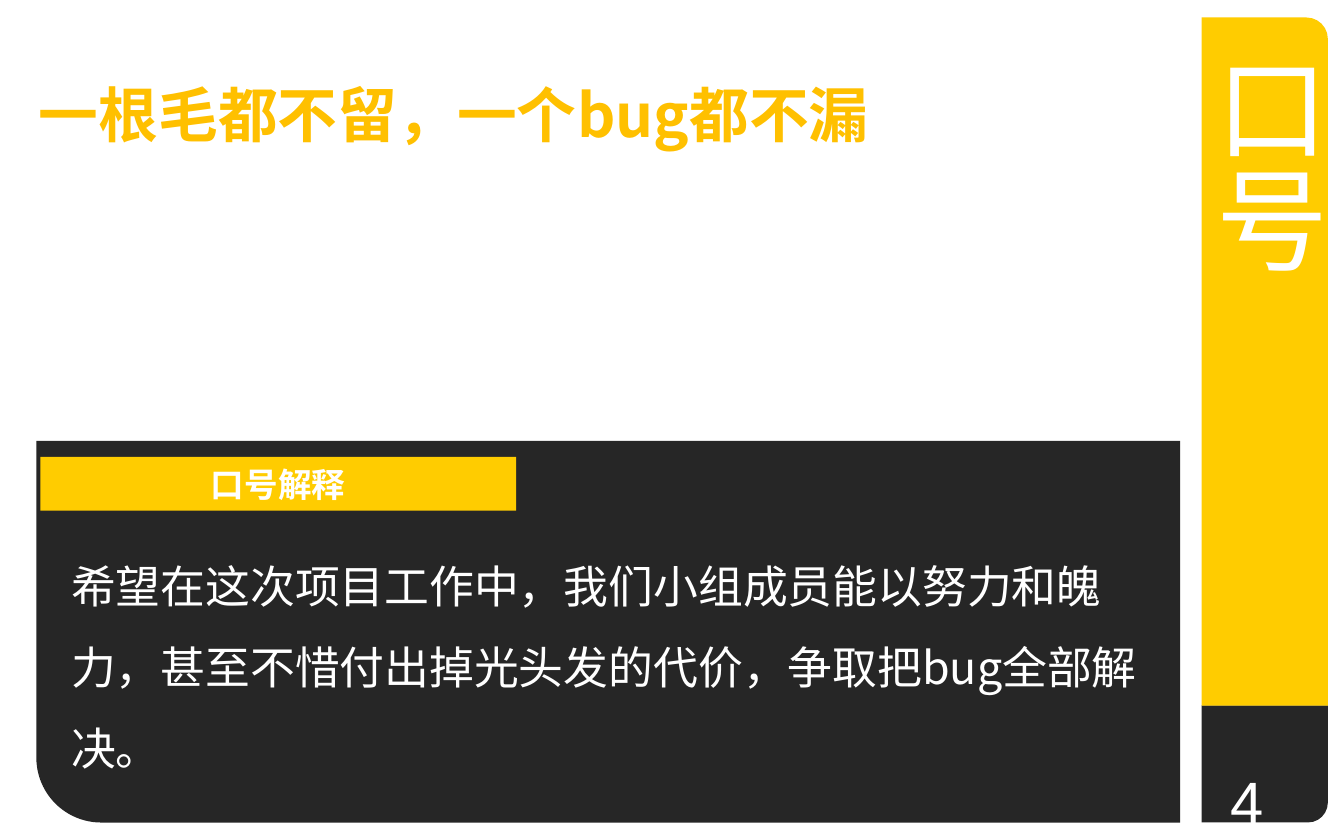
from lxml import etree
from pptx import Presentation
from pptx.dml.color import RGBColor
from pptx.enum.shapes import MSO_SHAPE as Shape
from pptx.enum.text import MSO_ANCHOR as Anchor, MSO_AUTO_SIZE as AutoSize, PP_ALIGN as Align
from pptx.oxml.ns import qn
from pptx.util import Inches, Pt

COLORS = {"dark": "262626", "yellow": "FFCC00", "gold": "FFC000", "white": "FFFFFF"}
CHINESE = "Noto Sans CJK SC"
CORNER = 0.17

PANELS = [
    {"at": (8.94, 5.25, 0.94, 0.87), "fill": "dark", "flip": True},
    {"at": (8.94, 0.13, 0.94, 5.12), "fill": "yellow"},
    {"at": (0.27, 3.28, 8.51, 2.84), "fill": "dark", "turn": 180},
]
LABEL = {"at": (0.3, 3.4, 3.54, 0.4), "fill": "yellow", "kind": Shape.RECTANGLE}
LABEL_TEXT = {"text": "口号解释", "size": 18, "bold": True, "align": Align.CENTER, "anchor": Anchor.MIDDLE}
TEXTS = [
    {"at": (7.17, 5.79, 2.33, 0.33), "text": "4", "size": 32, "font": "Arial",
     "align": Align.RIGHT, "anchor": Anchor.MIDDLE},
    {"at": (8.78, 0.29, 1.21, 1.77), "text": "口号", "size": 60, "vertical": True,
     "wrap": False, "grow": True},
    {"at": (0.19, 0.53, 7.38, 0.64), "text": "一根毛都不留，一个bug都不漏", "size": 32,
     "bold": True, "color": "gold", "grow": True},
    {"at": (0.43, 3.91, 8.19, 1.97), "size": 24, "spacing": 1.5,
     "text": "希望在这次项目工作中，我们小组成员能以努力和魄力，甚至不惜付出掉光头发的代价，争取把bug全部解决。"},
]


def rgb(name):
    return RGBColor.from_string(COLORS[name])


def add_panel(page, at, fill, kind=Shape.ROUND_1_RECTANGLE, flip=False, turn=0):
    panel = page.shapes.add_shape(kind, *map(Inches, at))
    panel.shadow.inherit = False
    panel.fill.solid()
    panel.fill.fore_color.rgb = rgb(fill)
    panel.line.fill.background()
    panel.rotation = turn
    if kind == Shape.ROUND_1_RECTANGLE:
        panel.adjustments[0] = CORNER
    if flip:
        panel._element.spPr.find(qn("a:xfrm")).set("flipV", "1")
    return panel


def write(box, text, size, font=CHINESE, color="white", bold=False, align=Align.LEFT,
          anchor=Anchor.TOP, spacing=None, wrap=True, vertical=False, grow=False):
    frame = box.text_frame
    frame.text = text
    frame.word_wrap = wrap
    frame.vertical_anchor = anchor
    frame.auto_size = AutoSize.SHAPE_TO_FIT_TEXT if grow else AutoSize.NONE
    if vertical:
        frame._txBody.find(qn("a:bodyPr")).set("vert", "eaVert")
    para = frame.paragraphs[0]
    para.alignment = align
    para.line_spacing = spacing
    span = para.runs[0]
    span.font.size = Pt(size)
    span.font.name = font
    span.font.bold = bold
    span.font.color.rgb = rgb(color)
    etree.SubElement(span.font._element, qn("a:ea")).set("typeface", font)


def add_text(page, at, **style):
    write(page.shapes.add_textbox(*map(Inches, at)), **style)


def main():
    deck = Presentation()
    deck.slide_width, deck.slide_height = Inches(10), Inches(6.25)
    page = deck.slides.add_slide(deck.slide_layouts[6])
    for panel in PANELS:
        add_panel(page, **panel)
    for item in TEXTS:
        add_text(page, **item)
    write(add_panel(page, **LABEL), **LABEL_TEXT)
    deck.save("out.pptx")


if __name__ == "__main__":
    main()
